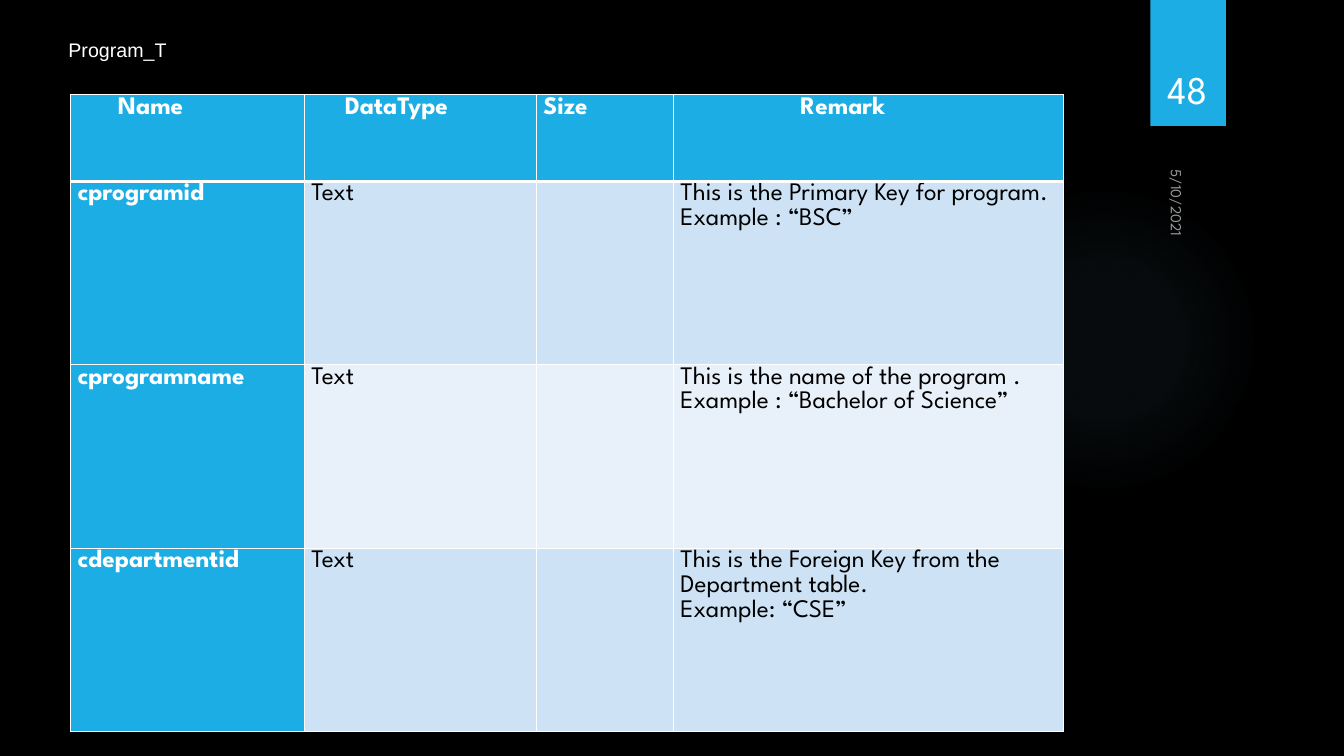
from lxml import etree
from pptx import Presentation
from pptx.dml.color import RGBColor
from pptx.enum.shapes import MSO_SHAPE
from pptx.enum.text import MSO_ANCHOR, PP_ALIGN
from pptx.oxml import parse_xml
from pptx.oxml.ns import nsdecls, qn
from pptx.util import Inches, Pt

BLACK = RGBColor(0x00, 0x00, 0x00)
WHITE = RGBColor(0xFF, 0xFF, 0xFF)
BLUE = RGBColor(0x1C, 0xAD, 0xE4)
GLOW = RGBColor(0x70, 0xA1, 0xC0)
BAND_DARK = RGBColor(0xCD, 0xE3, 0xF5)
BAND_LIGHT = RGBColor(0xE8, 0xF1, 0xFA)

OVAL, RECTANGLE = MSO_SHAPE.OVAL, MSO_SHAPE.RECTANGLE
TOP, MIDDLE, BOTTOM = MSO_ANCHOR.TOP, MSO_ANCHOR.MIDDLE, MSO_ANCHOR.BOTTOM
LEFT, CENTER = PP_ALIGN.LEFT, PP_ALIGN.CENTER

BODY_FONT = "League Spartan"
CELL_MARGIN = 0.07
COLUMN_WIDTHS = [2.32, 2.3, 1.36, 3.87]
ROW_HEIGHTS = [0.86, 1.82, 1.82, 1.82]
HEADER_MARGINS = [0.47, 0.4, CELL_MARGIN, 1.26]
ROWS = [
    ["Name", "DataType", "Size", "Remark"],
    ["cprogramid", "Text", "",
     "This is the Primary Key for program.\nExample : “BSC”"],
    ["cprogramname", "Text", "",
     "This is the name of the program .\nExample : “Bachelor of Science”"],
    ["cdepartmentid", "Text", "",
     "This is the Foreign Key from the Department table.\nExample: “CSE”"],
]


def write(frame, text, size=18, font=BODY_FONT, color=WHITE, bold=False,
          align=LEFT, spacing=None, opacity=None):
    """Fill a text frame, one paragraph for each line of the text."""
    for index, line in enumerate(text.split("\n")):
        para = frame.add_paragraph() if index else frame.paragraphs[0]
        para.alignment = align
        if spacing:
            para.line_spacing = spacing
        span = para.add_run()
        span.text = line
        span.font.size = Pt(size)
        span.font.name = font
        span.font.bold = bold
        span.font.color.rgb = color
        if opacity:
            tint = span.font.fill._xPr.find(".//" + qn("a:srgbClr"))
            etree.SubElement(tint, qn("a:alpha"), val=str(opacity * 1000))


def add_label(page, box, text, anchor=TOP, wrap=True, rotation=0, **style):
    label = page.shapes.add_textbox(*map(Inches, box))
    label.rotation = rotation
    label.text_frame.word_wrap = wrap
    label.text_frame.vertical_anchor = anchor
    write(label.text_frame, text, **style)


def add_plain_shape(page, kind, box, color):
    shape = page.shapes.add_shape(kind, *map(Inches, box))
    shape.shadow.inherit = False
    shape.fill.solid()
    shape.fill.fore_color.rgb = color
    shape.line.fill.background()
    return shape


def add_glow(page, box):
    """Faint round light that fades out towards its rim."""
    glow = add_plain_shape(page, OVAL, box, GLOW)
    stops = "".join(
        f'<a:gs pos="{place * 1000}"><a:srgbClr val="{GLOW}">'
        f'<a:alpha val="{opacity * 1000}"/></a:srgbClr></a:gs>'
        for place, opacity in [(0, 7), (36, 6), (69, 0), (100, 0)])
    gradient = parse_xml(
        f'<a:gradFill {nsdecls("a")}><a:gsLst>{stops}</a:gsLst><a:path path="circle">'
        '<a:fillToRect l="50000" t="50000" r="50000" b="50000"/></a:path></a:gradFill>')
    properties = glow._element.spPr
    properties.replace(properties.find(qn("a:solidFill")), gradient)


def set_borders(cell, widths):
    """Draw white borders; they must stand before the fill."""
    properties = cell._tc.get_or_add_tcPr()
    for index, (side, width) in enumerate(widths.items()):
        properties.insert(index, parse_xml(
            f'<a:ln{side} {nsdecls("a")} w="{Pt(width)}"><a:solidFill>'
            f'<a:srgbClr val="{WHITE}"/></a:solidFill></a:ln{side}>'))


def add_field_table(page, box):
    frame = page.shapes.add_table(len(ROWS), len(COLUMN_WIDTHS), *map(Inches, box))
    table = frame.table
    table.first_col = True
    for column, width in zip(table.columns, COLUMN_WIDTHS):
        column.width = Inches(width)
    for row, height in zip(table.rows, ROW_HEIGHTS):
        row.height = Inches(height)

    for r, texts in enumerate(ROWS):
        for c, text in enumerate(texts):
            cell = table.cell(r, c)
            is_heading = r == 0 or c == 0
            band = BAND_DARK if r % 2 else BAND_LIGHT
            cell.fill.solid()
            cell.fill.fore_color.rgb = BLUE if is_heading else band
            cell.margin_left = Inches(CELL_MARGIN if r else HEADER_MARGINS[c])
            cell.margin_right = Inches(CELL_MARGIN)
            cell.margin_top = cell.margin_bottom = 0
            set_borders(cell, {"L": 1, "R": 1, "T": 3 if r == 1 else 1,
                               "B": 3 if r == 0 else 1})
            if text:
                write(cell.text_frame, text, bold=is_heading, spacing=1.07,
                      color=WHITE if is_heading else BLACK)


def add_page_marker(page, box):
    """Blue tab with the page number, and the date running down below it."""
    left, top, width, height = box
    add_plain_shape(page, RECTANGLE, box, BLUE)
    add_label(page, (left - 0.3, top + height + 0.71, 1.08, 0.33), "5/10/2021",
              rotation=90, size=11, opacity=60)
    add_label(page, (left - 0.09, top + 0.32, 0.92, 0.84), "48",
              anchor=BOTTOM, size=28, align=CENTER)


def build_program_page(deck):
    page = deck.slides.add_slide(deck.slide_layouts[6])
    page.background.fill.solid()
    page.background.fill.fore_color.rgb = BLACK
    add_glow(page, (9.41, 1.83, 3.08, 3.08))
    add_field_table(page, (0.7, 0.94, 9.84, 6.33))
    add_label(page, (0.58, 0.32, 1.18, 0.34), "Program_T",
              anchor=MIDDLE, wrap=False, size=14, font="Arial")
    add_page_marker(page, (11.41, 0, 0.75, 1.25))


def main():
    deck = Presentation()
    deck.slide_width = Inches(13.33)
    deck.slide_height = Inches(7.5)
    build_program_page(deck)
    deck.save("out.pptx")


if __name__ == "__main__":
    main()
